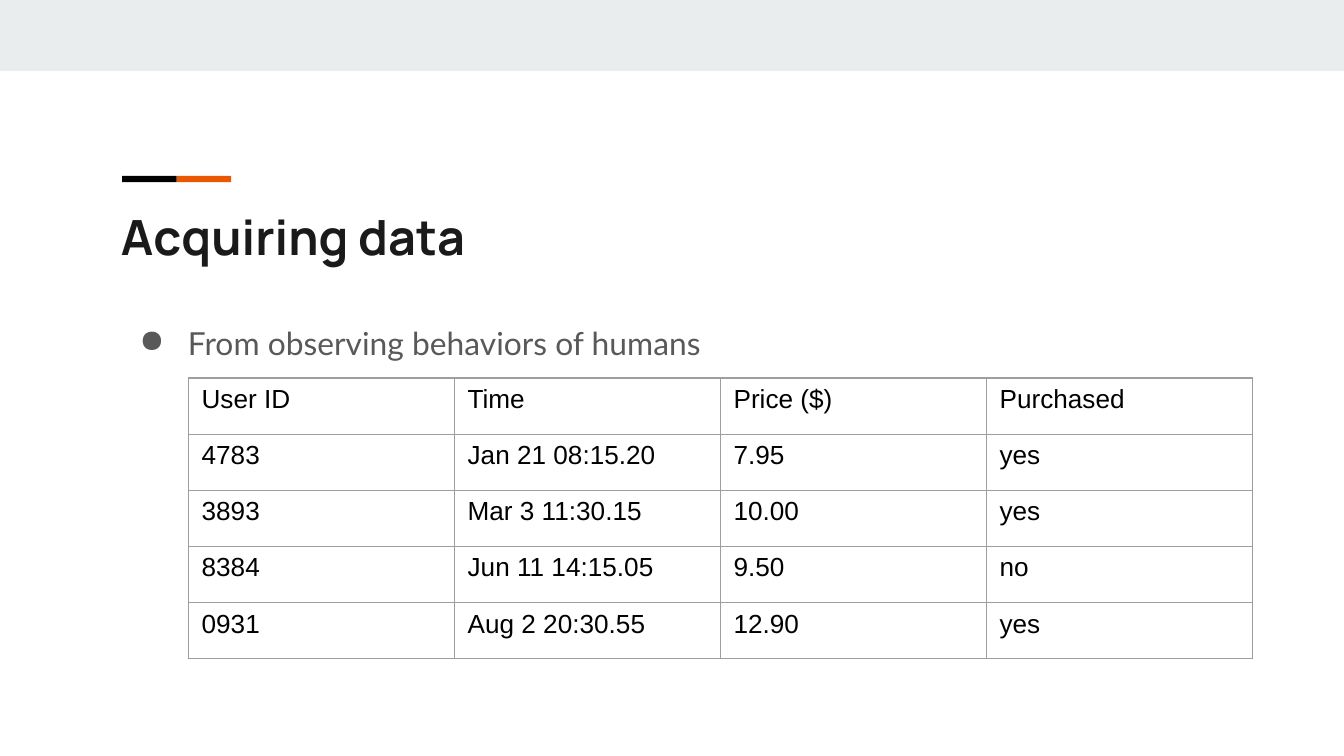
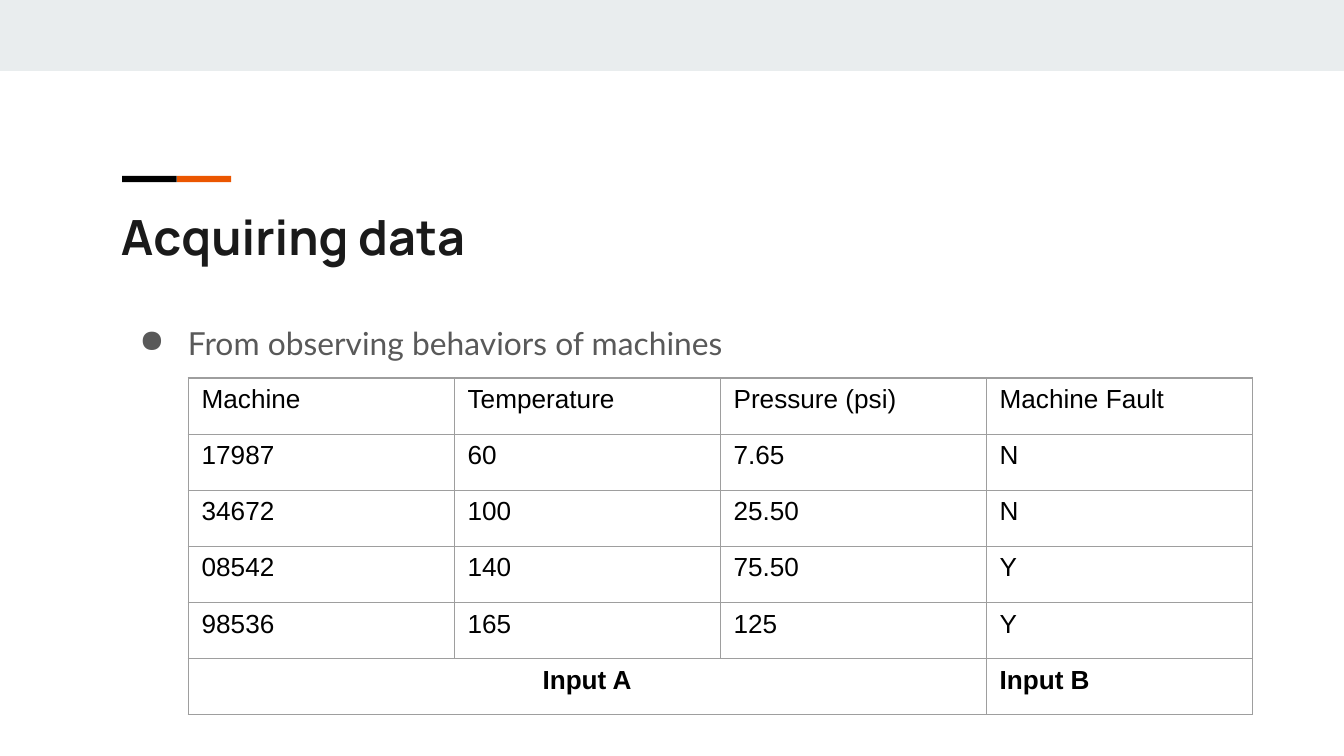
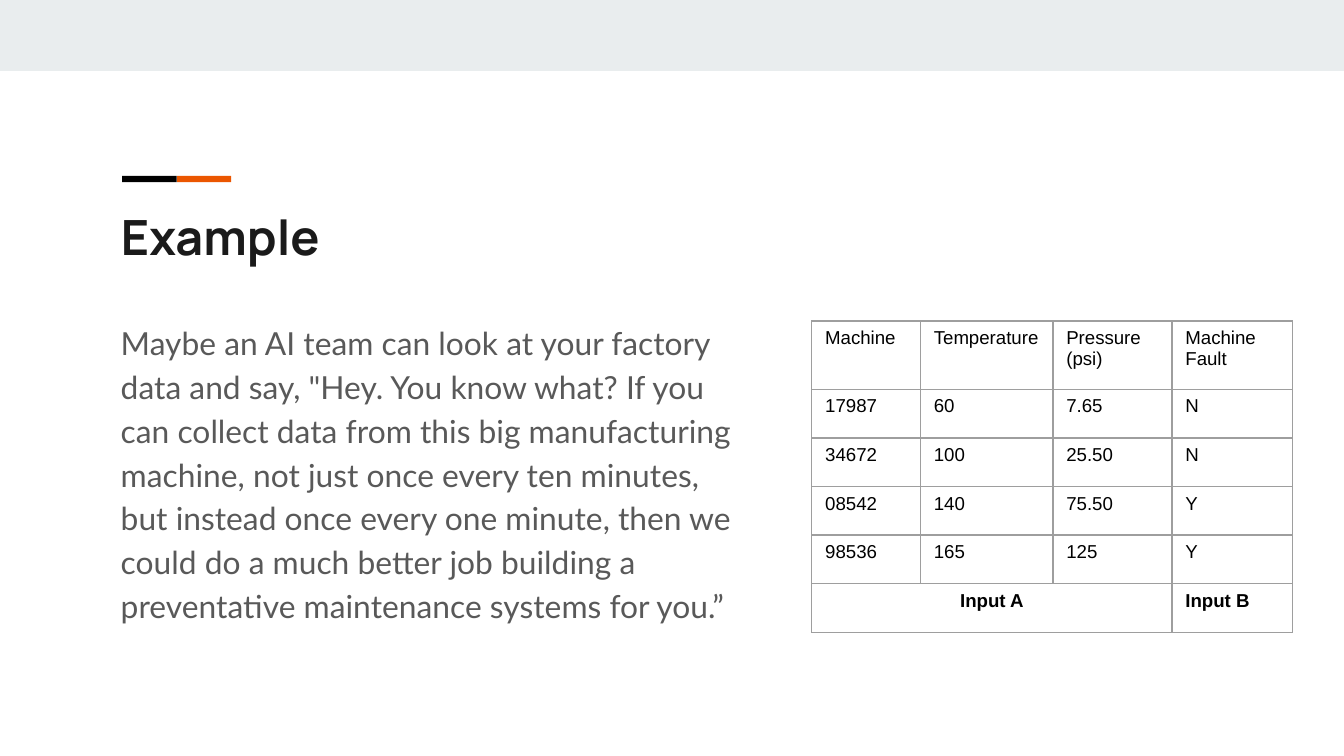
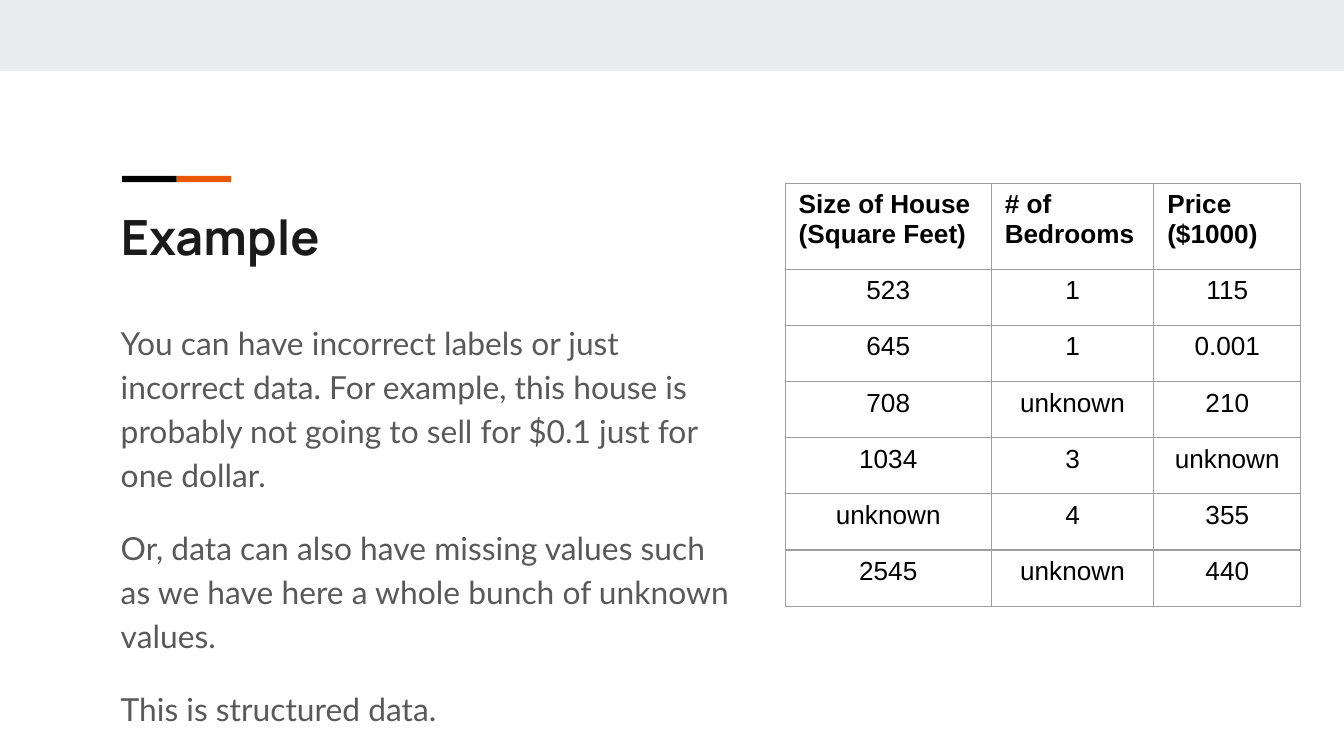
import pptx
import pptx.util
import pptx.dml.color
import pptx.enum.shapes
import pptx.enum.text
import pptx.oxml
import pptx.oxml.ns

Pt = pptx.util.Pt
Align = pptx.enum.text.PP_ALIGN

# Content
USERS = [
    ("User ID", "Time", "Price ($)", "Purchased"),
    ("4783", "Jan 21 08:15.20", "7.95", "yes"),
    ("3893", "Mar 3 11:30.15", "10.00", "yes"),
    ("8384", "Jun 11 14:15.05", "9.50", "no"),
    ("0931", "Aug 2 20:30.55", "12.90", "yes"),
]
FAULTS = [
    ("Machine", "Temperature", "Pressure (psi)", "Machine Fault"),
    ("17987", "60", "7.65", "N"),
    ("34672", "100", "25.50", "N"),
    ("08542", "140", "75.50", "Y"),
    ("98536", "165", "125", "Y"),
    ("Input A", None, None, "Input B"),  # None joins the cell to its left
]
HOMES = [
    ("Size of House (Square Feet)", "# of Bedrooms", "Price ($1000)"),
    ("523", "1", "115"),
    ("645", "1", "0.001"),
    ("708", "unknown", "210"),
    ("1034", "3", "unknown"),
    ("unknown", "4", "355"),
    ("2545", "unknown", "440"),
]

WIDE = dict(left=100.8, top=202.5, cols=[142.5] * 4, head=30.1, row=30.1, size=14)
SMALL = dict(left=434.9, top=172, cols=[58.2, 71, 63.8, 64.5], head=36.6, row=26.05, size=10)
PRICE = dict(left=420.7, top=98.3, cols=[110.4, 87.1, 78.7], head=46, row=30.1, size=14)

SLIDES = [
    dict(title="Acquiring data", body=["From observing behaviors of humans"],
         bullet=True, width=605.5, rows=USERS, grid=WIDE),
    dict(title="Acquiring data", body=["From observing behaviors of machines"],
         bullet=True, width=605.5, rows=FAULTS, grid=WIDE, bold=len(FAULTS) - 1),
    dict(title="Example", body=[
        "Maybe an AI team can look at your factory data and say, \"Hey. You know what? "
        "If you can collect data from this big manufacturing machine, not just once every "
        "ten minutes, but instead once every one minute, then we could do a much better "
        "job building a preventative maintenance systems for you.”"],
         width=345, rows=FAULTS, grid=SMALL, bold=len(FAULTS) - 1),
    dict(title="Example", body=[
        "You can have incorrect labels or just incorrect data. For example, this house is "
        "probably not going to sell for $0.1 just for one dollar.",
        "Or, data can also have missing values such as we have here a whole bunch of "
        "unknown values.",
        "This is structured data."],
         width=345, rows=HOMES, grid=PRICE, bold=0, center=True),
]


class Theme:
    band, black, orange = "E9EDEE", "000000", "EB5600"
    title, body, cell, line = "1A1A1A", "595959", "000000", "9E9E9E"
    head_font, body_font, cell_font = "Manrope", "Lato", "Arial"
    head_size, body_size = 26, 17
    left, inset, border = 57.6, 7.2, 0.75


def rgb(code):
    return pptx.dml.color.RGBColor.from_string(code)


def style(para, font, size, color, bold=False):
    for run in para.runs:
        run.font.name, run.font.size, run.font.bold = font, Pt(size), bold
        run.font.color.rgb = rgb(color)


def place(shape, left, top, width, height):
    shape.left, shape.top = Pt(left), Pt(top)
    shape.width, shape.height = Pt(width), Pt(height)


def setup(frame):
    frame.word_wrap = True
    frame.auto_size = pptx.enum.text.MSO_AUTO_SIZE.NONE
    frame.vertical_anchor = pptx.enum.text.MSO_ANCHOR.TOP
    frame.margin_left = frame.margin_right = Pt(Theme.inset)
    frame.margin_top = frame.margin_bottom = Pt(Theme.inset)


def add_bar(slide, left, top, width, height, color):
    bar = slide.shapes.add_shape(pptx.enum.shapes.MSO_SHAPE.RECTANGLE,
                                 Pt(left), Pt(top), Pt(width), Pt(height))
    bar.shadow.inherit = False
    bar.fill.solid()
    bar.fill.fore_color.rgb = rgb(color)
    bar.line.fill.background()


def add_frame(slide, text):
    """Band, accent bars and title shared by all slides."""
    add_bar(slide, 0, 0, 720, 38, Theme.band)
    add_bar(slide, 94.7, 94.2, 29.1, 3.4, Theme.orange)
    add_bar(slide, 65.4, 94.2, 29.3, 3.4, Theme.black)
    title = slide.shapes.title
    place(title, Theme.left, 103.7, 605.5, 41.8)
    setup(title.text_frame)
    title.text_frame.text = text
    para = title.text_frame.paragraphs[0]
    para.alignment = Align.LEFT
    style(para, Theme.head_font, Theme.head_size, Theme.title, True)


def add_bullet(para):
    props = para._p.get_or_add_pPr()
    props.set("marL", str(Pt(36)))
    props.set("indent", str(-Pt(26)))
    space = pptx.oxml.ns.nsdecls("a")
    props.append(pptx.oxml.parse_xml(
        f'<a:buClr {space}><a:srgbClr val="{Theme.body}"/></a:buClr>'))
    props.append(pptx.oxml.parse_xml(f'<a:buChar {space} char="●"/>'))


def add_body(slide, texts, width, bullet):
    box = slide.shapes.add_textbox(Pt(Theme.left), Pt(163.4), Pt(width), Pt(167))
    frame = box.text_frame
    setup(frame)
    for i, text in enumerate(texts):
        para = frame.add_paragraph() if i else frame.paragraphs[0]
        para.text = text
        if bullet:
            add_bullet(para)
        para.line_spacing = 1.15
        if i:
            para.space_before = Pt(16)
        style(para, Theme.body_font, Theme.body_size, Theme.body)


def add_border(cell):
    props = cell._tc.get_or_add_tcPr()
    for i, side in enumerate("LRTB"):
        props.insert(i, pptx.oxml.parse_xml(
            f'<a:ln{side} {pptx.oxml.ns.nsdecls("a")} w="{Pt(Theme.border)}">'
            f'<a:solidFill><a:srgbClr val="{Theme.line}"/></a:solidFill></a:ln{side}>'))


def add_grid(slide, rows, grid, bold, center):
    cols = grid["cols"]
    highs = [grid["head"]] + [grid["row"]] * (len(rows) - 1)
    table = slide.shapes.add_table(len(rows), len(cols), Pt(grid["left"]), Pt(grid["top"]),
                                   Pt(sum(cols)), Pt(sum(highs))).table
    table.first_row = table.horz_banding = False
    for col, width in zip(table.columns, cols):
        col.width = Pt(width)
    for r, row in enumerate(rows):
        table.rows[r].height = Pt(highs[r])
        span = row.count(None)
        if span:
            table.cell(r, 0).merge(table.cell(r, span))
        for c, text in enumerate(row):
            cell = table.cell(r, c)
            cell.margin_left = cell.margin_right = Pt(7.2)
            cell.margin_top = cell.margin_bottom = Pt(3.6)
            cell.fill.background()
            add_border(cell)
            if text is None:
                continue
            cell.text_frame.text = text
            para = cell.text_frame.paragraphs[0]
            if (center and r) or cell.is_merge_origin:
                para.alignment = Align.CENTER
            style(para, Theme.cell_font, grid["size"], Theme.cell, r == bold)


def main():
    deck = pptx.Presentation()
    deck.slide_width, deck.slide_height = Pt(720), Pt(405)
    for part in SLIDES:
        slide = deck.slides.add_slide(deck.slide_layouts[5])
        add_frame(slide, part["title"])
        add_body(slide, part["body"], part["width"], part.get("bullet", False))
        add_grid(slide, part["rows"], part["grid"], part.get("bold"), part.get("center", False))
    deck.save("out.pptx")


if __name__ == "__main__":
    main()
